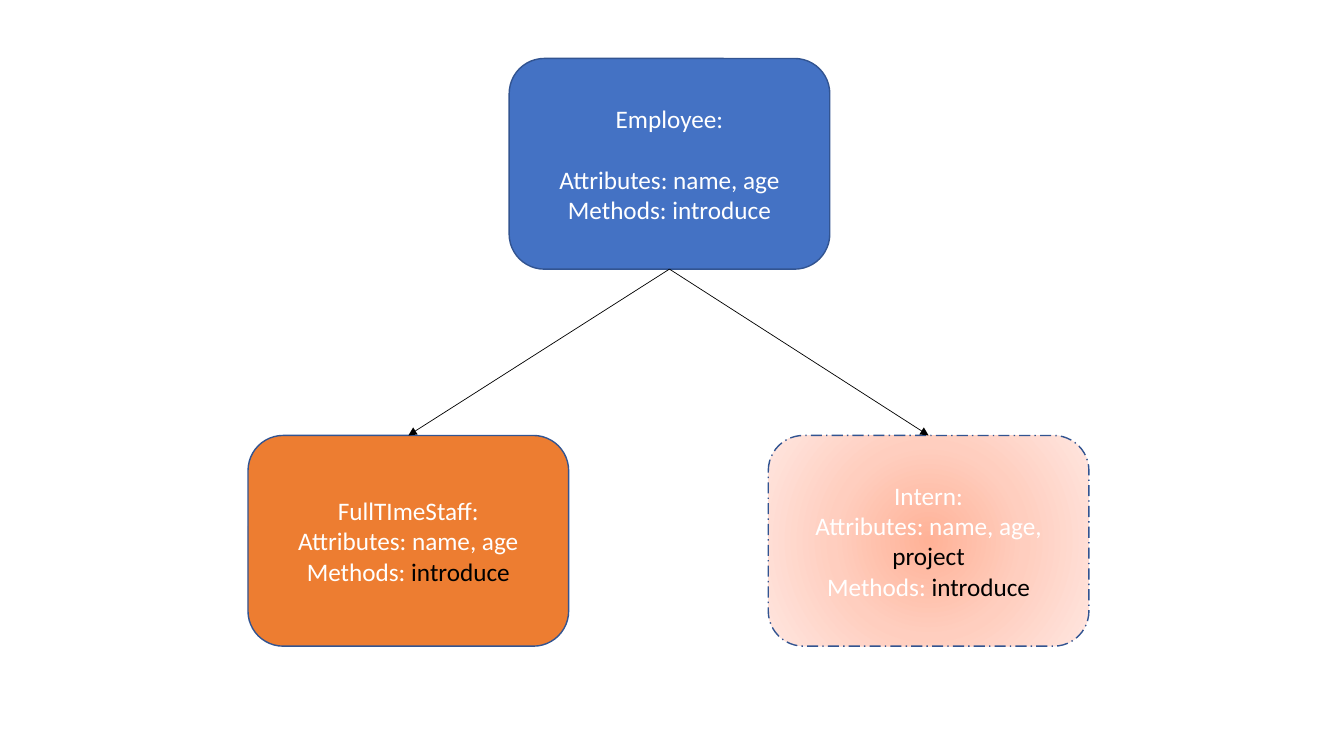
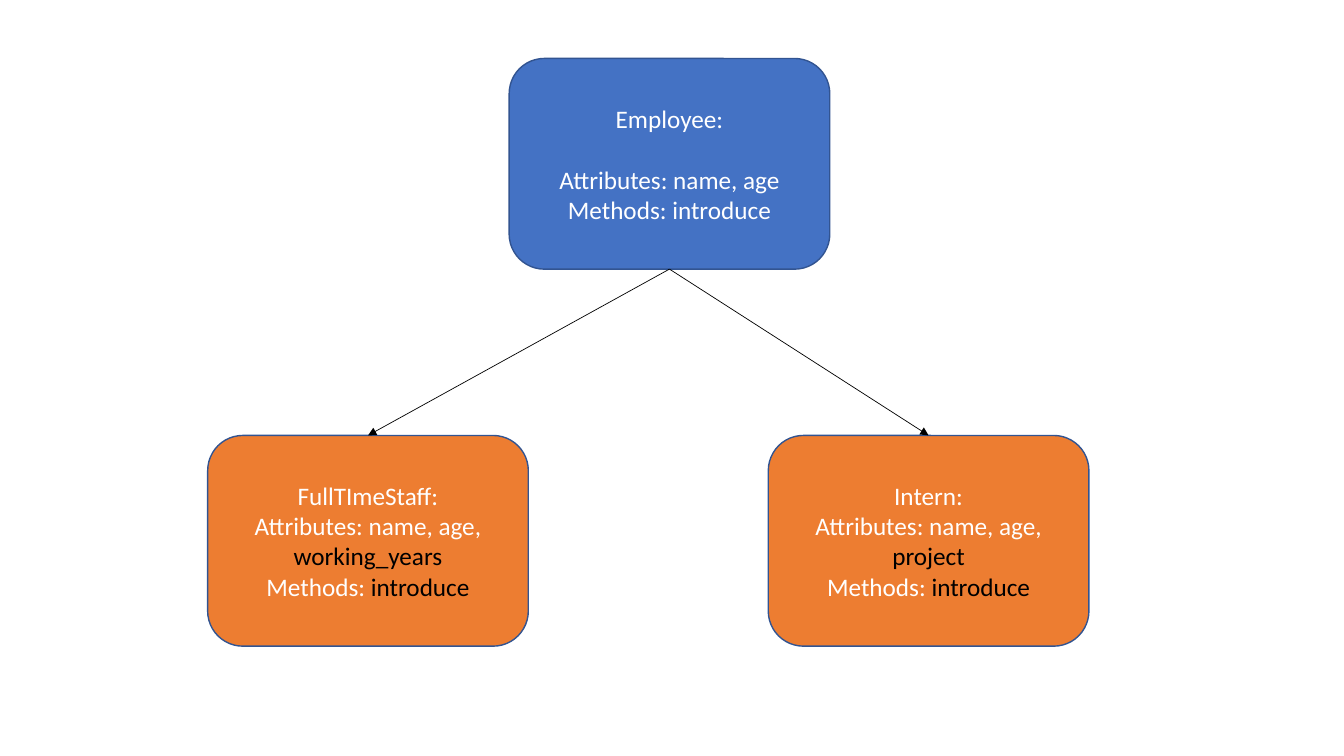
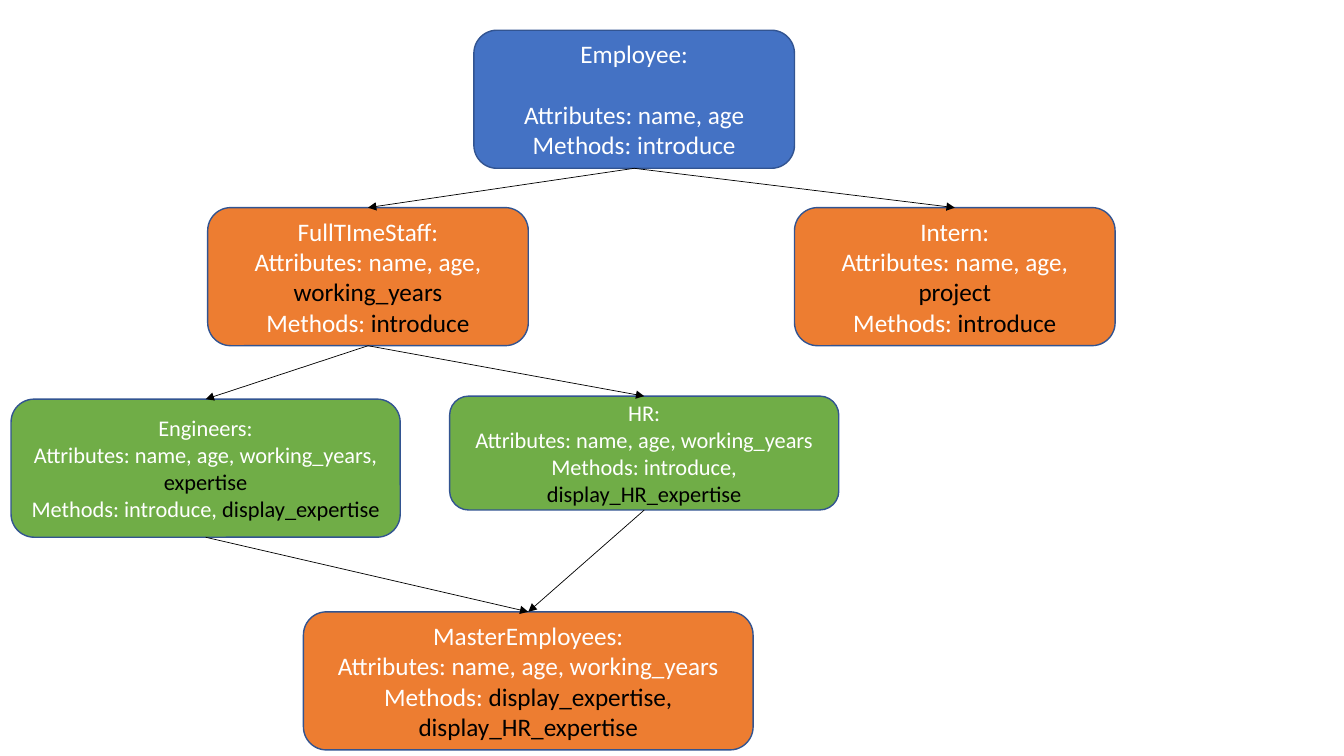
from pptx import Presentation
from pptx import util as u
from pptx.dml.color import RGBColor
from pptx.enum import dml, shapes, text
from pptx.oxml import parse_xml
from pptx.oxml.ns import nsdecls, qn

BLUE = RGBColor(0x44, 0x72, 0xC4)
ORANGE = RGBColor(0xED, 0x7D, 0x31)
GREEN = RGBColor(0x70, 0xAD, 0x47)
OUTLINE = RGBColor(0x32, 0x54, 0x91)
WHITE = RGBColor(0xFF, 0xFF, 0xFF)
BLACK = RGBColor(0x00, 0x00, 0x00)
GLOW = [(0, "FFB297"), (50, "FFCEBF"), (100, "FFE6E0")]
FONT = "Calibri"
TITLE_GAP = 22

# Each line is (inherited text, overridden or new text).
EMPLOYEE = [("Employee:", ""), ("Attributes: name, age", ""), ("Methods: introduce", "")]
STAFF_BASIC = [("FullTImeStaff:", ""), ("Attributes: name, age", ""),
               ("Methods: ", "introduce")]
STAFF = [("FullTImeStaff:", ""), ("Attributes: name, age, ", "working_years"),
         ("Methods: ", "introduce")]
INTERN = [("Intern:", ""), ("Attributes: name, age, ", "project"),
          ("Methods: ", "introduce")]
ENGINEERS = [("Engineers:", ""),
             ("Attributes: name, age, working_years, ", "expertise"),
             ("Methods: introduce, ", "display_expertise")]
HR = [("HR:", ""), ("Attributes: name, age, working_years", ""),
      ("Methods: introduce, ", "display_HR_expertise")]
MASTER = [("MasterEmployees:", ""), ("Attributes: name, age, working_years", ""),
          ("Methods: ", "display_expertise, display_HR_expertise")]

TALL = (3.18, 2.09)
SHORT = (3.18, 1.37)
TWO_CHILDREN = [("employee", "staff"), ("employee", "intern")]

DIAGRAMS = [
    ({"employee": (EMPLOYEE, (5.05, 0.58), TALL, BLUE, 18),
      "staff": (STAFF_BASIC, (2.46, 4.32), TALL, ORANGE, 18),
      "intern": (INTERN, (7.62, 4.32), TALL, GLOW, 18)},
     TWO_CHILDREN),
    ({"employee": (EMPLOYEE, (5.05, 0.58), TALL, BLUE, 18),
      "staff": (STAFF, (2.06, 4.32), TALL, ORANGE, 18),
      "intern": (INTERN, (7.62, 4.32), TALL, ORANGE, 18)},
     TWO_CHILDREN),
    ({"employee": (EMPLOYEE, (4.7, 0.3), SHORT, BLUE, 18),
      "staff": (STAFF, (2.06, 2.06), SHORT, ORANGE, 18),
      "intern": (INTERN, (7.88, 2.06), SHORT, ORANGE, 18),
      "engineers": (ENGINEERS, (0.11, 3.96), (3.86, 1.37), GREEN, 16),
      "hr": (HR, (4.46, 3.93), (3.86, 1.13), GREEN, 16),
      "master": (MASTER, (3.01, 6.07), (4.46, 1.37), ORANGE, 18)},
     TWO_CHILDREN + [("staff", "engineers"), ("staff", "hr"),
                     ("engineers", "master"), ("hr", "master")]),
]


def fill_radial(shape, stops):
    shape.fill.gradient()
    gradient = shape._element.spPr.find(qn("a:gradFill"))
    stop_xml = "".join(
        f'<a:gs pos="{position * 1000}"><a:srgbClr val="{colour}"/></a:gs>'
        for position, colour in stops)
    radial = parse_xml(
        f'<a:gradFill {nsdecls("a")} rotWithShape="1"><a:gsLst>{stop_xml}</a:gsLst>'
        '<a:path path="circle"><a:fillToRect l="50000" t="50000" r="50000" b="50000"/>'
        '</a:path></a:gradFill>')
    gradient.getparent().replace(gradient, radial)


def add_class_box(slide, lines, position, size, fill, font_size):
    box = slide.shapes.add_shape(shapes.MSO_SHAPE.ROUNDED_RECTANGLE,
                                 *map(u.Inches, position + size))
    box.shadow.inherit = False
    box.line.color.rgb = OUTLINE
    box.line.width = u.Pt(1)
    if fill is GLOW:
        fill_radial(box, fill)
        box.line.dash_style = dml.MSO_LINE.LONG_DASH_DOT
    else:
        box.fill.solid()
        box.fill.fore_color.rgb = fill
    frame = box.text_frame
    frame.word_wrap = True
    frame.vertical_anchor = text.MSO_ANCHOR.MIDDLE
    for index, line in enumerate(lines):
        paragraph = frame.add_paragraph() if index else frame.paragraphs[0]
        paragraph.alignment = text.PP_ALIGN.CENTER
        if lines is EMPLOYEE and index == 1:
            paragraph.space_before = u.Pt(TITLE_GAP)
        for words, colour in zip(line, (WHITE, BLACK)):
            if words:
                run = paragraph.add_run()
                run.text = words
                run.font.name = FONT
                run.font.size = u.Pt(font_size)
                run.font.color.rgb = colour
    return box


def add_inheritance_arrow(slide, parent, child):
    arrow = slide.shapes.add_connector(shapes.MSO_CONNECTOR.STRAIGHT, 0, 0, 0, 0)
    arrow.begin_connect(parent, 2)
    arrow.end_connect(child, 0)
    arrow.line.color.rgb = BLACK
    arrow.line.width = u.Pt(0.5)
    arrow.line._get_or_add_ln().append(
        parse_xml(f'<a:tailEnd {nsdecls("a")} type="triangle"/>'))
    arrow._element.spPr.append(parse_xml(f'<a:effectLst {nsdecls("a")}/>'))


presentation = Presentation()
presentation.slide_width = u.Inches(13.33)
presentation.slide_height = u.Inches(7.5)
for classes, arrows in DIAGRAMS:
    slide = presentation.slides.add_slide(presentation.slide_layouts[6])
    boxes = {name: add_class_box(slide, *details) for name, details in classes.items()}
    for parent, child in arrows:
        add_inheritance_arrow(slide, boxes[parent], boxes[child])
presentation.save("out.pptx")
